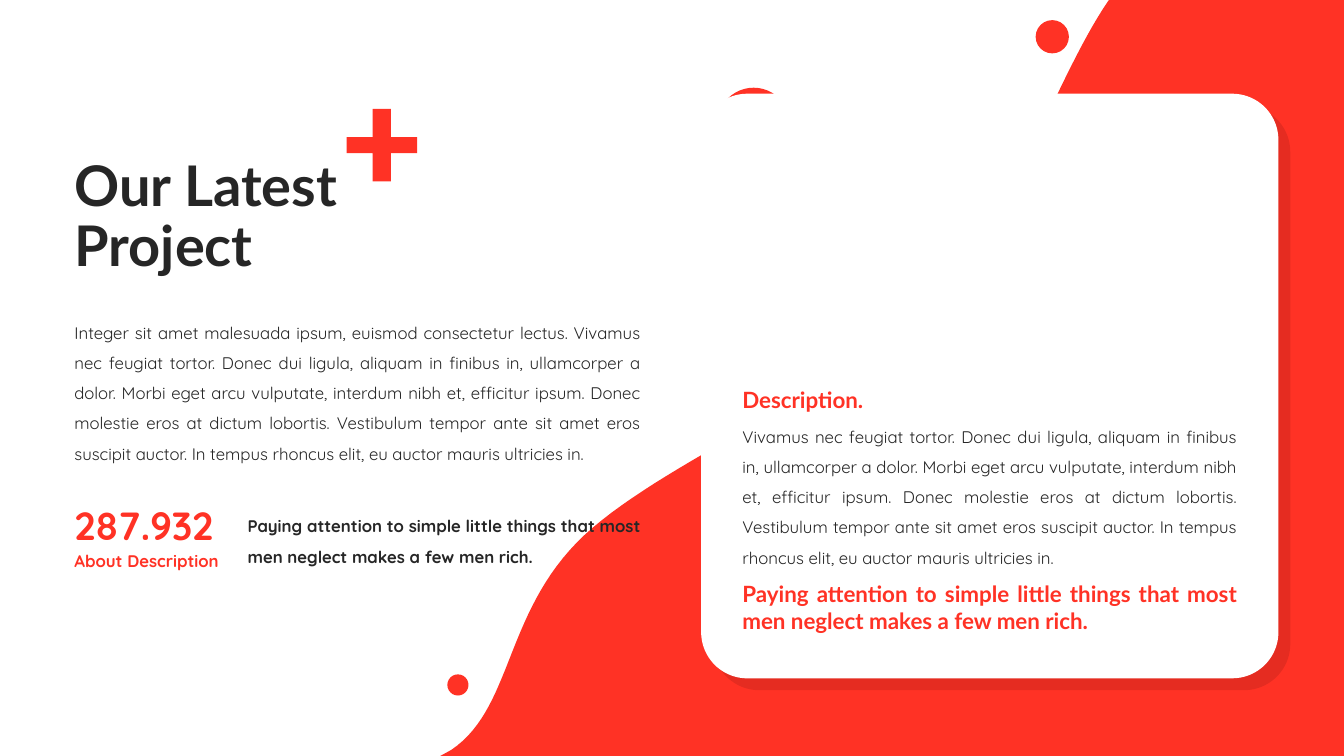
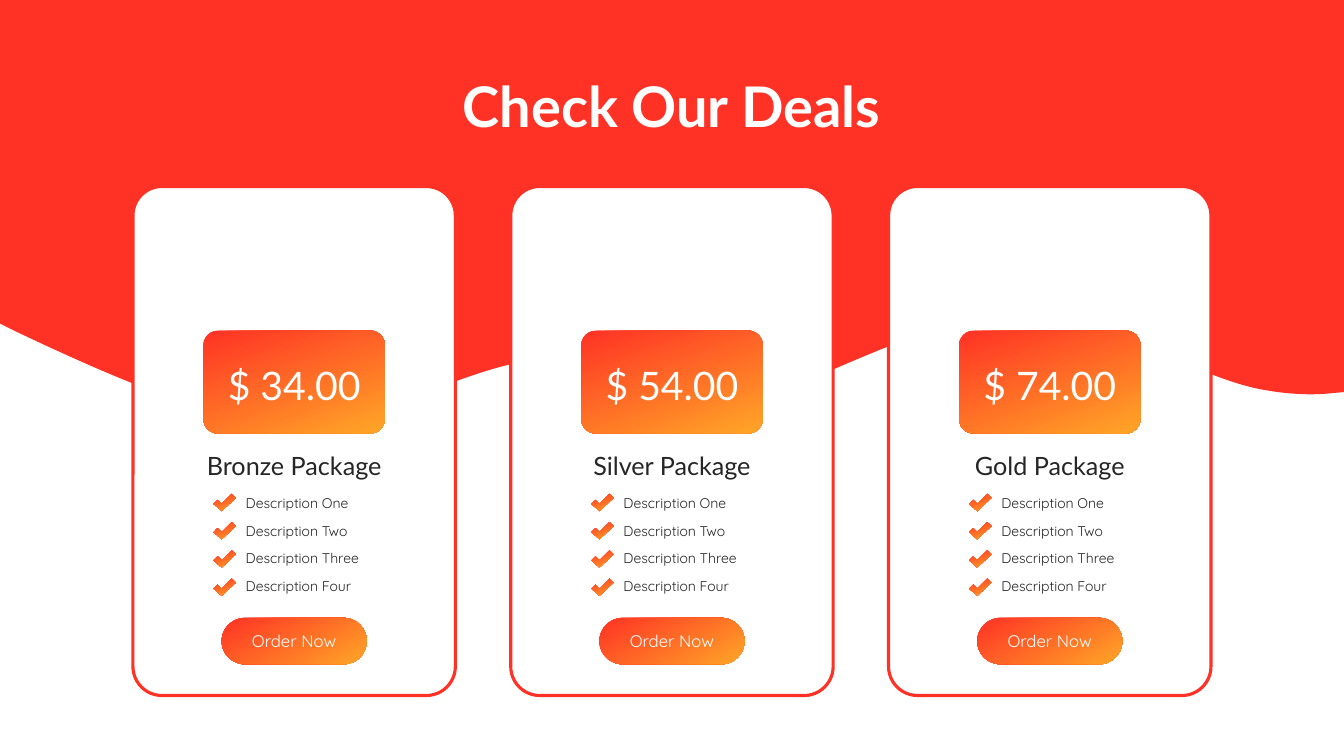
from lxml.etree import SubElement
from pptx import Presentation
from pptx.dml.color import RGBColor
from pptx.enum.shapes import MSO_SHAPE
from pptx.enum.text import PP_ALIGN
from pptx.oxml.ns import qn
from pptx.util import Inches, Pt

WIDTH, HEIGHT = 13.34, 7.5
RED, ORANGE, DARK, WHITE = "FF3225", "FFA627", "262626", "FFFFFF"
HEADING, BODY = "Lato", "Quicksand"
LEFT, CENTER, JUSTIFY = PP_ALIGN.LEFT, PP_ALIGN.CENTER, PP_ALIGN.JUSTIFY


def paint(shape, color, angle=None):
    """Fill with a plain colour, or with a gradient to orange at a clockwise angle."""
    shape.shadow.inherit = False
    shape.line.fill.background()
    if angle is None:
        shape.fill.solid()
        shape.fill.fore_color.rgb = RGBColor.from_string(color)
        return
    shape.fill.gradient()
    shape.fill.gradient_angle = 360 - angle
    for stop, shade in zip(shape.fill.gradient_stops, (color, ORANGE)):
        stop.color.rgb = RGBColor.from_string(shade)


def write(shape, text, font, size, color, bold=False, align=LEFT, spacing=1.0, after=0):
    shape.text_frame.word_wrap = True
    shape.text_frame.text = text
    for para in shape.text_frame.paragraphs:
        para.alignment = align
        para.line_spacing = spacing
        para.space_after = Pt(after)
        para.font.name = font
        para.font.size = Pt(size)
        para.font.bold = bold
        para.font.color.rgb = RGBColor.from_string(color)


deck = Presentation()
deck.slide_width, deck.slide_height = Inches(WIDTH), Inches(HEIGHT)

# Each slide has a red wave and a title. A wave step is a point (2 numbers)
# or a Bezier curve (two controls and an end, 6 numbers).
project_wave = [
    (11.01, 0), (WIDTH, 0), (WIDTH, HEIGHT), (4.37, HEIGHT), (4.48, 7.44),
    (5.1, 7.02, 5, 6.06, 5.8, 5.31),
    (6.61, 4.56, 8.36, 3.9, 9.3, 2.95),
    (10.05, 2.17, 10.47, 0.79, 11, 0.01),
]
deals_wave = [
    (0, 0), (WIDTH, 0), (WIDTH, 3.89), (13.23, 3.9),
    (13.05, 3.92, 12.81, 3.92, 12.5, 3.86),
    (11.88, 3.74, 10.86, 3.11, 9.96, 3.14),
    (9.05, 3.17, 7.83, 3.99, 7.07, 4.06),
    (6.3, 4.13, 6.12, 3.55, 5.39, 3.57),
    (4.66, 3.59, 3.66, 4.29, 2.7, 4.2),
    (1.97, 4.13, 0.88, 3.63, 0.16, 3.29),
    (0, 3.21),
]
CURVE_STEPS = 30
pages = []
for title_text, title_box, color, align, wave in [
    ("Our Latest Project", (0.64, 1.44, 4.62, 1.45), DARK, LEFT, project_wave),
    ("Check Our Deals", (2.75, 0.36, 7.83, 1.45), WHITE, CENTER, deals_wave),
]:
    page = deck.slides.add_slide(deck.slide_layouts[5])
    pages.append(page)
    points = []
    for step in wave:
        if len(step) == 2:
            points.append(step)
            continue
        corners = [points[-1], step[:2], step[2:4], step[4:]]
        for index in range(1, CURVE_STEPS + 1):
            t = index / CURVE_STEPS
            weights = ((1 - t) ** 3, 3 * t * (1 - t) ** 2, 3 * t * t * (1 - t), t ** 3)
            points.append([sum(w * corner[axis] for w, corner in zip(weights, corners))
                           for axis in (0, 1)])
    outline = [(Inches(x), Inches(y)) for x, y in points]
    builder = page.shapes.build_freeform(*outline[0])
    builder.add_line_segments(outline[1:])
    paint(builder.convert_to_shape(), RED)

    title = page.shapes.title
    title.left, title.top, title.width, title.height = map(Inches, title_box)
    write(title, title_text, HEADING, 40, color, True, align, 0.9)
    page.shapes._spTree.append(title._element)  # in front of the wave

project, deals = pages

# Project slide: ornaments, white card and texts
plus_x, plus_y = (3.44, 3.7, 3.88, 4.14), (1.08, 1.36, 1.52, 1.8)
plus = [(Inches(plus_x[column]), Inches(plus_y[row])) for column, row in [
    (1, 0), (2, 0), (2, 1), (3, 1), (3, 2), (2, 2),
    (2, 3), (1, 3), (1, 2), (0, 2), (0, 1), (1, 1)]]
builder = project.shapes.build_freeform(*plus[0])
builder.add_line_segments(plus[1:])
paint(builder.convert_to_shape(), RED)

for left, top, size in [(10.28, 0.2, 0.33), (4.44, 6.69, 0.21), (7.12, 0.87, 0.72)]:
    dot = project.shapes.add_shape(
        MSO_SHAPE.OVAL, Inches(left), Inches(top), Inches(size), Inches(size))
    paint(dot, RED)

card = project.shapes.add_shape(
    MSO_SHAPE.ROUNDED_RECTANGLE, Inches(6.96), Inches(0.93), Inches(5.73), Inches(5.8))
card.adjustments[0] = 0.08
paint(card, WHITE)
effects = card._element.spPr.find(qn("a:effectLst"))
shadow = SubElement(effects, qn("a:outerShdw"), dist=str(Pt(12)), dir="2700000",
                    algn="tl", rotWithShape="0")
shade = SubElement(shadow, qn("a:srgbClr"), val="000000")
SubElement(shade, qn("a:alpha"), val="10000")

story = ("Vivamus nec feugiat tortor. Donec dui ligula, aliquam in finibus in, ullamcorper a "
         "dolor. Morbi eget arcu vulputate, interdum nibh et, efficitur ipsum. Donec molestie "
         "eros at dictum lobortis. Vestibulum tempor ante sit amet eros suscipit auctor. In "
         "tempus rhoncus elit, eu auctor mauris ultricies in.")
intro = "Integer sit amet malesuada ipsum, euismod consectetur lectus. " + story
quote = "Paying attention to simple little things that most men neglect makes a few men rich."
MARGIN, CARD_TEXT = 0.64, 7.27
for left, top, width, height, text, *style in [
    (CARD_TEXT, 3.78, 2.59, 0.37, "Description.", HEADING, 16, RED, True),
    (CARD_TEXT, 4.08, 5.11, 1.6, story, BODY, 12, DARK, False, JUSTIFY, 1.5),
    (CARD_TEXT, 5.71, 5.11, 0.64, quote, HEADING, 16, RED, True, JUSTIFY),
    (MARGIN, 3.05, 5.82, 1.6, intro, BODY, 12, DARK, False, JUSTIFY, 1.5),
    (MARGIN, 5.41, 1.72, 0.3, "About Description", BODY, 12, RED, True, JUSTIFY),
    (MARGIN, 4.92, 2.3, 0.57, "287.932", BODY, 28, RED, True, JUSTIFY),
    (2.36, 4.97, 4.1, 0.7, quote, BODY, 12, DARK, True, JUSTIFY, 1.5),
]:
    box = project.shapes.add_textbox(
        Inches(left), Inches(top), Inches(width), Inches(height))
    write(box, text, *style)

# Deals slide: three equal cards around the middle
CARD_STEP, ROW_STEP = 3.75, 0.28
features = ["Description One", "Description Two", "Description Three", "Description Four"]
tick = [(0.08, 0.17), (0, 0.1), (0.04, 0.06), (0.08, 0.1), (0.18, 0), (0.22, 0.04)]
packages = [("Bronze Package", "$ 34.00"), ("Silver Package", "$ 54.00"),
            ("Gold Package", "$ 74.00")]
for column, (name, price) in enumerate(packages):
    middle = WIDTH / 2 + (column - 1) * CARD_STEP
    blocks = []
    for top, width, height, corner, color, angle in [
        (1.85, 3.2, 5.05, 0.09, WHITE, None),
        (3.28, 1.8, 1.02, 0.14, RED, 70),
        (6.13, 1.44, 0.46, 0.5, RED, 60),
    ]:
        block = deals.shapes.add_shape(
            MSO_SHAPE.ROUNDED_RECTANGLE, Inches(middle - width / 2), Inches(top),
            Inches(width), Inches(height))
        block.adjustments[0] = corner
        paint(block, color, angle)
        blocks.append(block)
    card, price_tag, button = blocks
    card.line.color.rgb = RGBColor.from_string(RED)
    card.line.width = Pt(2.25)
    price_tag.text_frame.margin_top = Inches(0.1)
    write(price_tag, price, HEADING, 28, WHITE, align=CENTER)
    write(button, "Order Now", BODY, 12, WHITE, align=CENTER)

    label = deals.shapes.add_textbox(
        Inches(middle - 1.23), Inches(4.42), Inches(2.46), Inches(0.4))
    write(label, name, HEADING, 18, DARK, align=CENTER)

    feature_list = deals.shapes.add_textbox(
        Inches(middle - 0.58), Inches(4.86), Inches(1.39), Inches(4 * ROW_STEP))
    write(feature_list, "\n".join(features), BODY, 10, DARK, after=7.6)
    for row in range(len(features)):
        corners = [(Inches(middle - 0.8 + x), Inches(4.9 + row * ROW_STEP + y))
                   for x, y in tick]
        builder = deals.shapes.build_freeform(*corners[0])
        builder.add_line_segments(corners[1:])
        paint(builder.convert_to_shape(), RED, 70)

deck.save("out.pptx")
